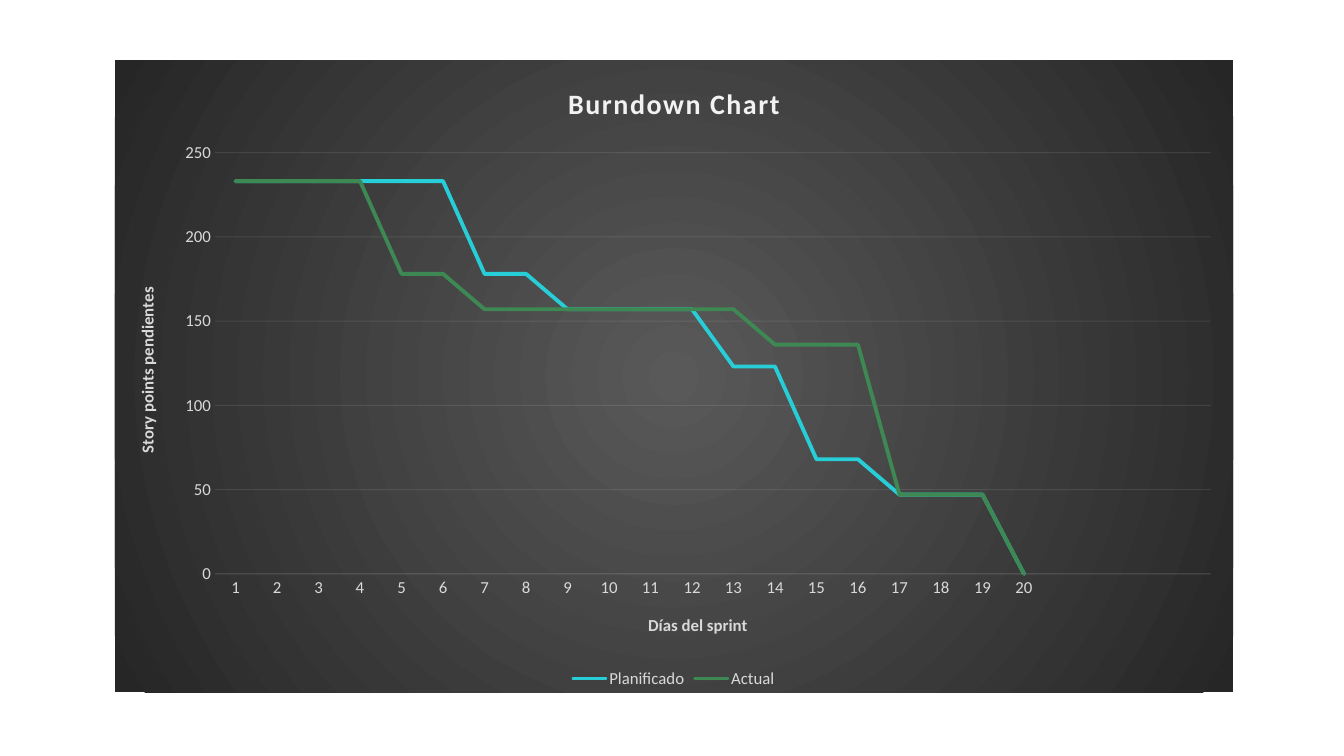
from lxml import etree
from pptx import Presentation, util as u
from pptx.chart import data as chart_data
from pptx.dml import color
from pptx.enum import chart as ch
from pptx.oxml import parse_xml
from pptx.oxml.ns import nsdecls, qn

# Content
TITLE = "Burndown Chart"
DAY_TITLE = "Días del sprint"
POINTS_TITLE = "Story points pendientes"
SPRINT_DAYS, DAY_SLOTS = 20, 24
# Remaining points as (value, number of days)
BURNDOWN = {
    "Planificado": [(233, 6), (178, 2), (157, 4), (123, 2), (68, 2), (47, 3), (0, 1)],
    "Actual": [(233, 4), (178, 2), (157, 7), (136, 3), (47, 3), (0, 1)],
}

# Theme
THEME = {
    "font": "Calibri", "title": "F2F2F2", "label": "D9D9D9", "rule": "F2F2F2",
    "glow": "595959", "edge": "262626", "series": ["27CED7", "3E8853"],
    "title_size": 20, "label_size": 12, "rule_width": 0.75, "series_width": 2.75,
}
SLIDE_W, SLIDE_H = 13.33, 7.5
LEFT, TOP, WIDTH, HEIGHT = 1.14, 0.6, 11.09, 6.27


def style_font(font, size, rgb, bold=False):
    font.name, font.size, font.bold = THEME["font"], u.Pt(size), bold
    font.color.rgb = color.RGBColor.from_string(rgb)


def set_title(owner, words, size, rgb):
    frame = owner.text_frame
    frame.text = words
    run = frame.paragraphs[0].runs[0]
    style_font(run.font, size, rgb, True)
    return run


def style_line(line, rgb, width):
    line.width = u.Pt(width)
    line.color.rgb = color.RGBColor.from_string(rgb)


def style_rule(line):
    style_line(line, THEME["rule"], THEME["rule_width"])
    rgb = line.fill._xPr.find(".//" + qn("a:srgbClr"))
    etree.SubElement(rgb, qn("a:alpha"), val="10000")


prs = Presentation()
prs.slide_width, prs.slide_height = u.Inches(SLIDE_W), u.Inches(SLIDE_H)
slide = prs.slides.add_slide(prs.slide_layouts[6])

# Chart data: the slots after the sprint stay empty
burndown = chart_data.CategoryChartData()
burndown.categories = [str(day) if day <= SPRINT_DAYS else ""
                       for day in range(1, DAY_SLOTS + 1)]
for name, steps in BURNDOWN.items():
    points = [value for value, days in steps for _ in range(days)]
    burndown.add_series(name, points + [None] * (DAY_SLOTS - len(points)))

chart = slide.shapes.add_chart(
    ch.XL_CHART_TYPE.LINE, u.Inches(LEFT), u.Inches(TOP),
    u.Inches(WIDTH), u.Inches(HEIGHT), burndown).chart
style_font(chart.font, THEME["label_size"], THEME["label"])

# Title and legend
heading = set_title(chart.chart_title, TITLE, THEME["title_size"], THEME["title"])
heading.font._element.set("spc", "100")
chart.chart_title.include_in_layout = False
chart.has_legend = True
chart.legend.position = ch.XL_LEGEND_POSITION.BOTTOM
chart.legend.include_in_layout = False
style_font(chart.legend.font, THEME["label_size"], THEME["label"])

# Axes
days_axis, points_axis = chart.category_axis, chart.value_axis
for axis, words in ((days_axis, DAY_TITLE), (points_axis, POINTS_TITLE)):
    set_title(axis.axis_title, words, THEME["label_size"], THEME["label"])
    axis.major_tick_mark = axis.minor_tick_mark = ch.XL_TICK_MARK.NONE
    style_font(axis.tick_labels.font, THEME["label_size"], THEME["label"])
style_rule(days_axis.format.line)
points_axis.format.line.fill.background()
points_axis.has_major_gridlines = True
style_rule(points_axis.major_gridlines.format.line)
points_axis.minimum_scale, points_axis.maximum_scale = 0, 250
points_axis.major_unit = 50

# Series
chart.plots[0].vary_by_categories = False
for series, rgb in zip(chart.plots[0].series, THEME["series"]):
    series.smooth = False
    series.marker.style = ch.XL_MARKER_STYLE.NONE
    style_line(series.format.line, rgb, THEME["series_width"])
    series.format.line.fill._xPr.set("cap", "rnd")

# Radial background
background = parse_xml(f"""
<c:spPr {nsdecls('c', 'a')}>
  <a:gradFill><a:gsLst>
    <a:gs pos="0"><a:srgbClr val="{THEME['glow']}"/></a:gs>
    <a:gs pos="100000"><a:srgbClr val="{THEME['edge']}"/></a:gs>
  </a:gsLst><a:path path="circle">
    <a:fillToRect l="50000" t="50000" r="50000" b="50000"/>
  </a:path></a:gradFill>
  <a:ln><a:noFill/></a:ln>
</c:spPr>""")
chart._chartSpace.find(qn("c:chart")).addnext(background)

prs.save("out.pptx")
